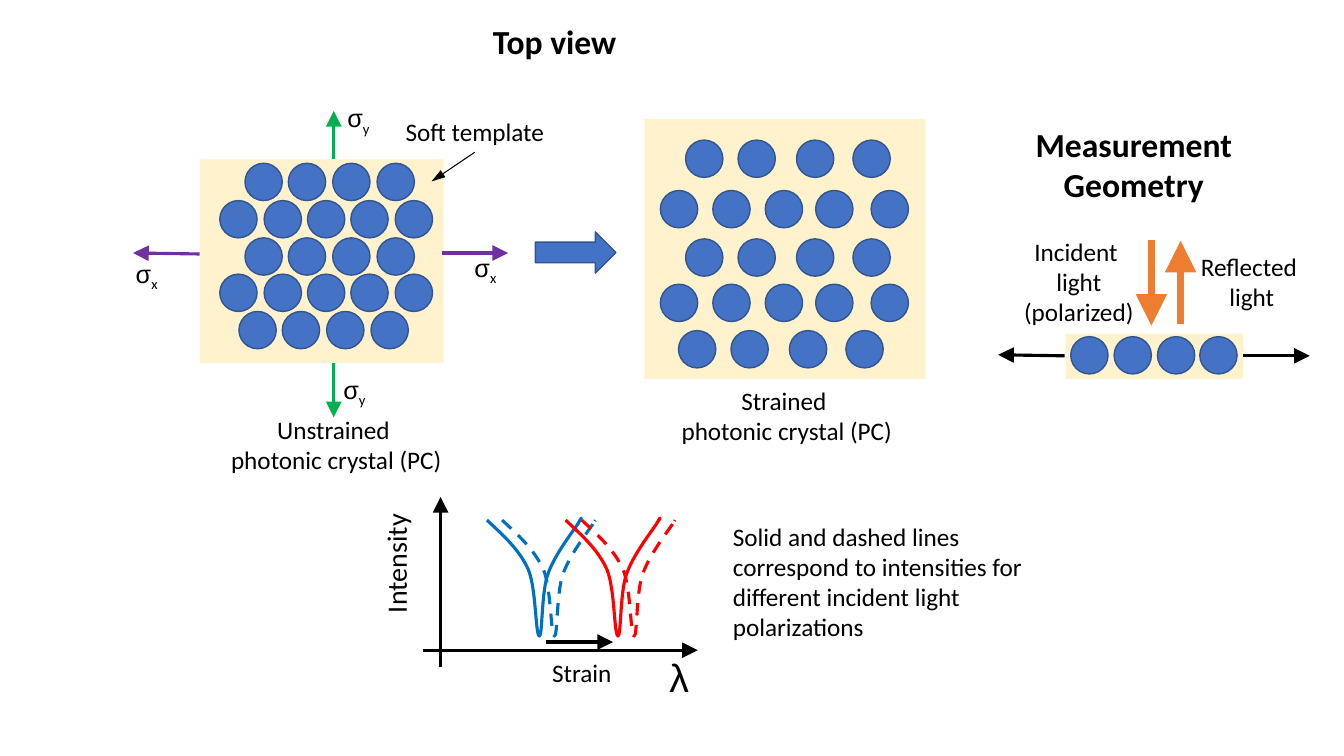
from dataclasses import dataclass
from typing import Any, NamedTuple

from lxml import etree
from pptx import Presentation
from pptx import util as u
from pptx.dml.color import RGBColor
from pptx.enum import dml, shapes, text
from pptx.oxml import ns

PX = 9144
BLACK = RGBColor(0x00, 0x00, 0x00)
CREAM = RGBColor(0xFF, 0xF2, 0xCC)
BALL = RGBColor(0x44, 0x72, 0xC4)
RIM = RGBColor(0x32, 0x54, 0x91)
PURPLE = RGBColor(0x70, 0x30, 0xA0)
GREEN = RGBColor(0x00, 0xB0, 0x50)
ORANGE = RGBColor(0xED, 0x7D, 0x31)
BLUE = RGBColor(0x00, 0x70, 0xC0)
RED = RGBColor(0xFF, 0x00, 0x00)
MID = text.PP_ALIGN.CENTER
LEFT = text.PP_ALIGN.LEFT
KIND = shapes.MSO_SHAPE


class Box(NamedTuple):
    left: int
    top: int
    width: int
    height: int


class Row(NamedTuple):
    top: int
    lefts: list[int]


@dataclass
class Label:
    box: Box
    words: str
    size: int = 18
    bold: bool = False
    align: Any = MID
    font: str = "Calibri"
    sub: str = ""
    wrap: bool = False
    turn: bool = False


class Arrow(NamedTuple):
    x1: int
    y1: int
    x2: int
    y2: int
    color: RGBColor = BLACK
    width: float = 2.25
    head: str = "lg"


class Curve(NamedTuple):
    left: int
    color: RGBColor
    dash: bool


PATCHES = [Box(639, 118, 279, 258), Box(198, 158, 242, 202), Box(1057, 331, 176, 45)]
SHORT = [680, 732, 790, 846]
LONG = [655, 707, 759, 809, 864]


def run_of(left: int, count: int, pitch: float) -> list[int]:
    return [round(left + i * pitch) for i in range(count)]


ROWS = [
    *(Row(round(162 + i * 36.75), run_of(left, count, 43.5))
      for i, (left, count) in enumerate([(243, 4), (218, 5), (243, 4), (218, 5), (237, 4)])),
    Row(139, SHORT),
    Row(189, LONG),
    Row(237, SHORT),
    Row(282, LONG),
    Row(328, [left - 7 for left in SHORT]),
    Row(334, run_of(1062, 4, 42.75)),
]

ARROWS = [
    Arrow(438, 251, 504, 251, PURPLE),
    Arrow(198, 252, 132, 251, PURPLE),
    Arrow(331, 158, 331, 110, GREEN),
    Arrow(331, 360, 331, 414, GREEN),
    Arrow(420, 645, 692, 645),
    Arrow(437, 662, 437, 493),
    Arrow(542, 637, 608, 637),
    Arrow(471, 151, 428, 180, BLACK, 0.75, "med"),
    Arrow(1142, 238, 1142, 323, ORANGE, 4.5),
    Arrow(1171, 321, 1171, 239, ORANGE, 4.5),
    Arrow(1233, 353, 1299, 353),
    Arrow(1056, 353, 990, 352),
]

HEAD = Label(Box(478, 16, 144, 50), "Top view", 24, True)
LABELS = [
    Label(Box(218, 406, 231, 71), "Unstrained \vphotonic crystal (PC)"),
    Label(Box(659, 377, 237, 71), "Strained\v photonic crystal (PC)"),
    Label(Box(654, 643, 42, 57), "λ", 28, align=LEFT, font="Arial"),
    Label(Box(371, 509, 54, 109), "Intensity", 20, align=LEFT, turn=True),
    Label(Box(537, 647, 80, 40), "Strain"),
    Label(Box(391, 110, 160, 40), "Soft template"),
    Label(Box(1016, 118, 217, 91), "Measurement\nGeometry", 24, True),
    Label(Box(1005, 229, 130, 101), "Incident \vlight\n(polarized)"),
    Label(Box(1180, 244, 123, 71), "Reflected \vlight"),
    *(Label(Box(left, top, 43, 40), "σ", font="Arial", sub=sub)
      for left, top, sub in [(124, 251, "x"), (460, 245, "x"), (330, 366, "y"), (334, 97, "y")]),
    Label(Box(717, 512, 318, 131),
          "Solid and dashed lines correspond to intensities for different incident light polarizations",
          align=LEFT, wrap=True),
]

CURVES = [Curve(483, BLUE, False), Curve(561, RED, False),
          Curve(498, BLUE, True), Curve(577, RED, True)]
CREST = 514
EDGE = [(94, 0), (52, 117)]
START = (0, 2)
BENDS = [
    [(16, 17), (32, 31), (41, 51)],
    [(49, 70), (48, 116), (52, 117)],
    [(55, 118), (54, 75), (60, 57)],
    [(66, 38), (84, 15), (90, 6)],
    [(95, -3), (94, 0), (92, 3)],
]


def put(thing: Any, form: dict[str, Any]) -> None:
    for key, value in form.items():
        setattr(thing, key, value)


def place(shape: Any, box: Box) -> None:
    put(shape, {key: value * PX for key, value in box._asdict().items()})


def ink(line: Any, color: RGBColor, width: float) -> None:
    line.color.rgb = color
    line.width = u.Pt(width)


def add_shape(slide: Any, kind: Any, box: Box, fill: RGBColor, rim: RGBColor | None = None) -> None:
    shape = slide.shapes.add_shape(kind, *(n * PX for n in box))
    shape.shadow.inherit = False
    shape.fill.solid()
    shape.fill.fore_color.rgb = fill
    if rim is None:
        shape.line.fill.background()
    else:
        ink(shape.line, rim, 1)


def add_arrow(slide: Any, arrow: Arrow) -> None:
    ends = [n * PX for n in arrow[:4]]
    link = slide.shapes.add_connector(shapes.MSO_CONNECTOR.STRAIGHT, *ends)
    ink(link.line, arrow.color, arrow.width)
    tip = {"type": "triangle", "w": arrow.head, "len": "lg"}
    etree.SubElement(link.line._get_or_add_ln(), ns.qn("a:tailEnd"), tip)
    etree.SubElement(link._element.spPr, ns.qn("a:effectLst"))


def add_curve(slide: Any, curve: Curve) -> None:
    pen = slide.shapes.build_freeform(*START, scale=PX)
    pen.add_line_segments(EDGE, close=False)
    shape = pen.convert_to_shape(curve.left * PX, CREST * PX)
    track = next(shape._element.iter(ns.qn("a:path")))
    for edge in track.findall(ns.qn("a:lnTo")):
        track.remove(edge)
    for trio in BENDS:
        arc = etree.SubElement(track, ns.qn("a:cubicBezTo"))
        for x, y in trio:
            etree.SubElement(arc, ns.qn("a:pt"), x=str(x), y=str(y))
    shape.shadow.inherit = False
    shape.fill.background()
    ink(shape.line, curve.color, 2.25)
    if curve.dash:
        shape.line.dash_style = dml.MSO_LINE.DASH


def write(shape: Any, label: Label) -> None:
    place(shape, label.box)
    frame = shape.text_frame
    frame.text = label.words
    put(frame, {"word_wrap": label.wrap, "vertical_anchor": text.MSO_ANCHOR.TOP,
                "auto_size": text.MSO_AUTO_SIZE.SHAPE_TO_FIT_TEXT})
    if label.turn:
        frame._txBody.bodyPr.set("vert", "vert270")
    if label.sub:
        frame.paragraphs[0].add_run().text = label.sub
    for para in frame.paragraphs:
        para.alignment = label.align
        for run in para.runs:
            put(run.font, {"name": label.font, "size": u.Pt(label.size), "bold": label.bold})
            run.font.color.rgb = BLACK
    if label.sub:
        tail = frame.paragraphs[0].runs[-1]
        tail.font.name = "Calibri"
        tail._r.get_or_add_rPr().set("baseline", "-25000")


def main() -> None:
    deck = Presentation()
    put(deck, {"slide_width": 1333 * PX, "slide_height": 750 * PX})
    slide = deck.slides.add_slide(deck.slide_layouts[5])
    write(slide.shapes.title, HEAD)
    for patch in PATCHES:
        add_shape(slide, KIND.RECTANGLE, patch, CREAM)
    for row in ROWS:
        for left in row.lefts:
            add_shape(slide, KIND.OVAL, Box(left, row.top, 37, 37), BALL, RIM)
    add_shape(slide, KIND.RIGHT_ARROW, Box(531, 230, 80, 41), BALL, RIM)
    for arrow in ARROWS:
        add_arrow(slide, arrow)
    for curve in CURVES:
        add_curve(slide, curve)
    for label in LABELS:
        write(slide.shapes.add_textbox(0, 0, 0, 0), label)
    deck.save("out.pptx")


if __name__ == "__main__":
    main()
